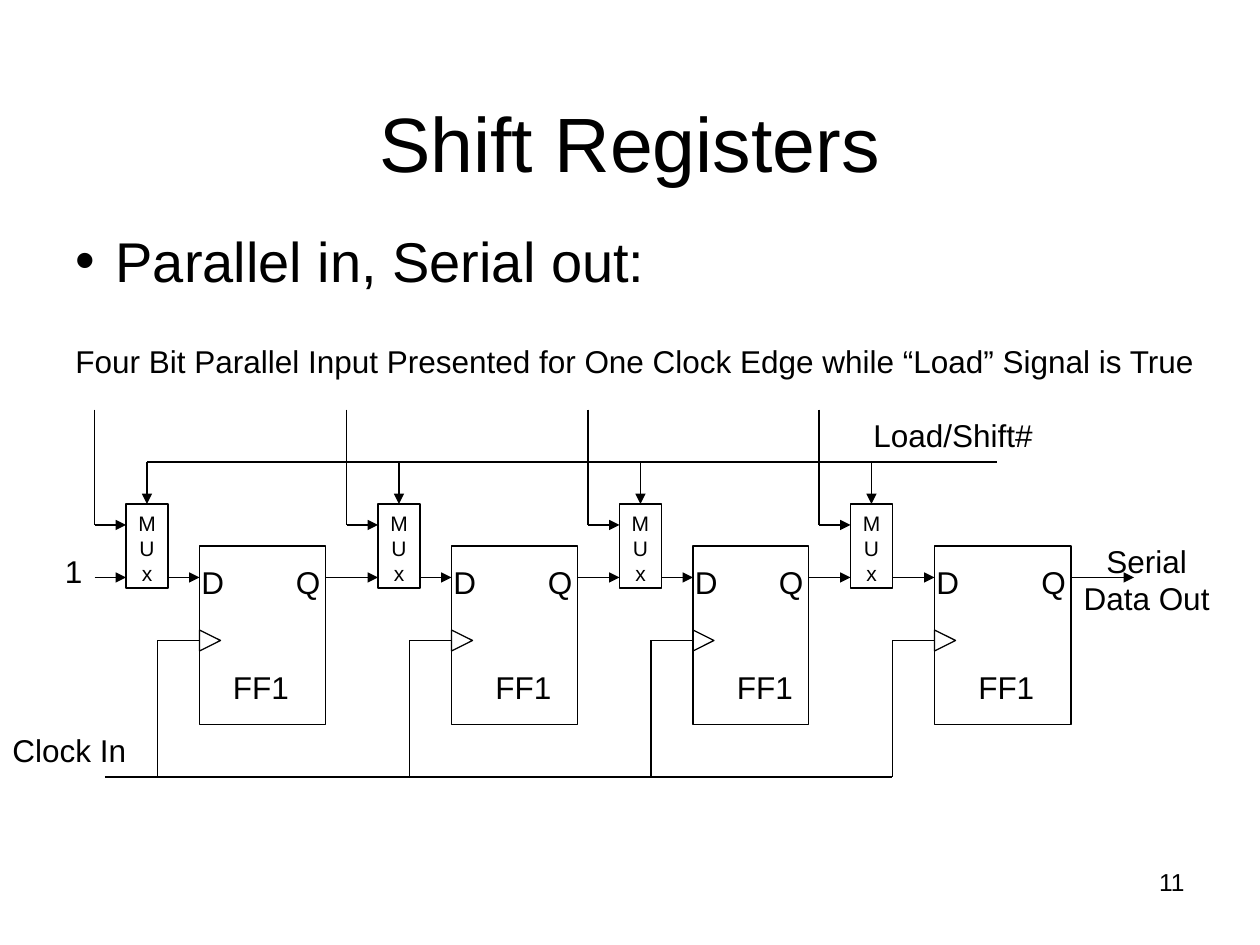
from lxml import etree
from pptx import Presentation
from pptx.dml.color import RGBColor
from pptx.enum import shapes, text
from pptx.oxml import ns
from pptx.util import Pt

BLACK = RGBColor(0, 0, 0)
FONT = "Arial"
LEFT, CENTER, RIGHT = text.PP_ALIGN.LEFT, text.PP_ALIGN.CENTER, text.PP_ALIGN.RIGHT

prs = Presentation()
prs.slide_width, prs.slide_height = Pt(720), Pt(540)
slide = prs.slides.add_slide(prs.slide_layouts[5])


def write(shape, words, size=18, align=LEFT, wrap=True):
    frame = shape.text_frame
    frame.text = words
    frame.word_wrap = wrap
    for paragraph in frame.paragraphs:
        paragraph.alignment = align
        paragraph.font.name = FONT
        paragraph.font.size = Pt(size)
        paragraph.font.color.rgb = BLACK
    return frame


def wire(x1, y1, x2, y2, arrow=False):
    line = slide.shapes.add_connector(
        shapes.MSO_CONNECTOR.STRAIGHT, Pt(x1), Pt(y1), Pt(x2), Pt(y2))
    line.line.color.rgb = BLACK
    line.line.width = Pt(0.75)
    if arrow:
        etree.SubElement(line.line._get_or_add_ln(), ns.qn("a:tailEnd"), type="triangle")
    etree.SubElement(line._element.spPr, ns.qn("a:effectLst"))
    return line


# Title
title = slide.shapes.title
title.left, title.top, title.width, title.height = Pt(36), Pt(21.6), Pt(648), Pt(90)
heading = write(title, "Shift Registers", 44, CENTER)
heading.auto_size = text.MSO_AUTO_SIZE.NONE
heading.vertical_anchor = text.MSO_ANCHOR.BOTTOM
heading.paragraphs[0].line_spacing = 0.9

# Bullet
topic = slide.shapes.add_textbox(Pt(36), Pt(126), Pt(648), Pt(144))
bullet = write(topic, "Parallel in, Serial out:", 32).paragraphs[0]
bullet.space_before = Pt(8)
bullet_props = bullet._p.get_or_add_pPr()
bullet_props.set("marL", str(Pt(23)))
bullet_props.set("indent", str(Pt(-23)))
etree.SubElement(bullet_props, ns.qn("a:buFont"), typeface=FONT)
etree.SubElement(bullet_props, ns.qn("a:buChar"), char="•")

# Page number
page_number = slide.shapes.add_textbox(Pt(516), Pt(492), Pt(168), Pt(37.5))
write(page_number, "11", 14, RIGHT)

# Labels around the circuit: text, left, top, width, height, alignment
labels = [
    ("Four Bit Parallel Input Presented for One Clock Edge while “Load” Signal is True",
     36, 192, 660, 29, LEFT),
    ("Load/Shift#", 492, 234, 109, 29, LEFT),
    ("Clock In", 0, 414, 83, 29, LEFT),
    ("1", 30, 312, 26, 29, LEFT),
    ("Serial\nData Out", 610, 306, 90.4, 50.5, CENTER),
]

# Shared load and clock lines
LOAD_Y, DATA_Y, CLOCK_Y, CLOCK_BUS_Y = 264, 330, 366, 444
wire(84, LOAD_Y, 570, LOAD_Y)
wire(60, CLOCK_BUS_Y, 510, CLOCK_BUS_Y)

# Stages: multiplexer left, flip-flop left, flip-flop width, name offset
stages = [(72, 114, 72, 12), (216, 258, 72, 18), (354, 396, 66, 18), (486, 534, 78, 18)]
data_x = 54
for mux_x, ff_x, ff_width, name_offset in stages:
    mux, flip_flop, clock_mark = [
        slide.shapes.add_shape(kind, Pt(x), Pt(y), Pt(w), Pt(h))
        for kind, x, y, w, h in (
            (shapes.MSO_SHAPE.RECTANGLE, mux_x, 288, 24, 48),
            (shapes.MSO_SHAPE.RECTANGLE, ff_x, 312, ff_width, 102),
            (shapes.MSO_SHAPE.ISOSCELES_TRIANGLE, ff_x, CLOCK_Y - 6, 12, 12))]
    for part in (mux, flip_flop, clock_mark):
        part.shadow.inherit = False
        part.fill.background()
        part.line.color.rgb = BLACK
        part.line.width = Pt(0.75)
    clock_mark.rotation = 90
    write(mux, "M\nU\nx", 12, CENTER, wrap=False).vertical_anchor = text.MSO_ANCHOR.TOP

    # Parallel input, load select, serial data and clock
    wire(mux_x - 18, 234, mux_x - 18, 300)
    wire(mux_x - 18, 300, mux_x, 300, arrow=True)
    wire(mux_x + 12, LOAD_Y, mux_x + 12, 288, arrow=True).end_connect(mux, 0)
    wire(data_x, DATA_Y, mux_x, DATA_Y, arrow=True)
    wire(mux_x + 24, DATA_Y, ff_x, DATA_Y, arrow=True)
    wire(ff_x - 24, CLOCK_Y, ff_x, CLOCK_Y)
    wire(ff_x - 24, CLOCK_Y, ff_x - 24, CLOCK_BUS_Y)

    data_x = ff_x + ff_width
    labels += [
        ("D", ff_x - 6, 318, 29, 29, LEFT),
        ("Q", data_x - 24, 318, 30, 29, LEFT),
        ("FF1", ff_x + name_offset, 378, 50, 29, LEFT),
    ]

# Serial output
wire(data_x, DATA_Y, 648, DATA_Y, arrow=True)

for words, x, y, width, height, align in labels:
    label = slide.shapes.add_textbox(Pt(x), Pt(y), Pt(width), Pt(height))
    write(label, words, align=align)

prs.save("out.pptx")
